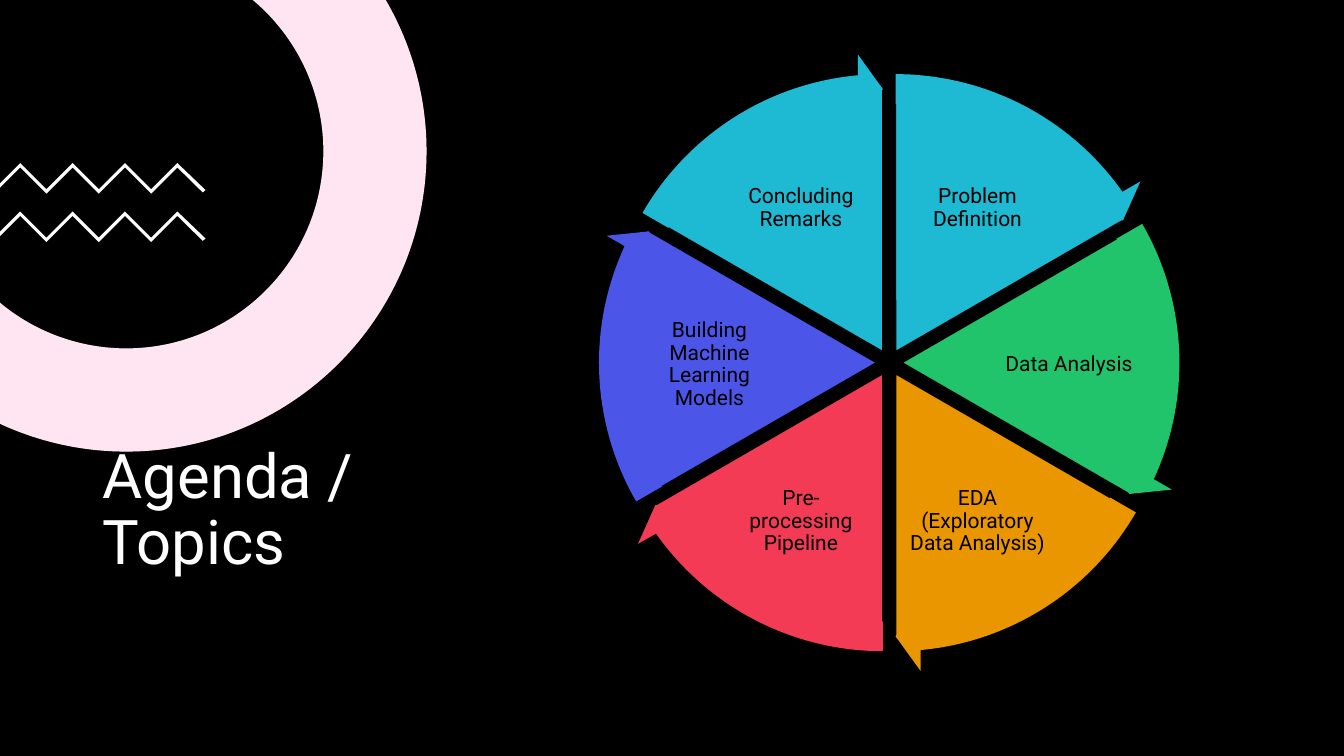
from math import acos, asin, cos, pi, radians, sin, tan

from lxml.etree import SubElement
from pptx import Presentation
from pptx.dml.color import RGBColor as RGB
from pptx.enum.shapes import MSO_SHAPE as Kind
from pptx.enum.text import MSO_ANCHOR as Anchor, PP_ALIGN as Align
from pptx.oxml.ns import qn
from pptx.util import Cm, Pt

BLACK = RGB(0x00, 0x00, 0x00)
WHITE = RGB(0xFF, 0xFF, 0xFF)
PINK = RGB(0xFF, 0x80, 0xBD)
CYAN = RGB(0x1E, 0xB9, 0xD3)
GREEN = RGB(0x21, 0xC4, 0x6B)
AMBER = RGB(0xEA, 0x96, 0x00)
RED = RGB(0xF4, 0x3B, 0x56)
BLUE = RGB(0x4B, 0x56, 0xE8)

WIDE, HIGH = 33.87, 19.05
TITLE = {"size": Pt(44), "name": "Roboto"}
LABEL = {"size": Pt(15), "name": "Roboto"}
SIDES = ("left", "top", "right", "bottom")

TOPICS = [
    ("Problem Definition", CYAN),
    ("Data Analysis", GREEN),
    ("EDA (Exploratory Data Analysis)", AMBER),
    ("Pre-processing Pipeline", RED),
    ("Building Machine Learning Models", BLUE),
    ("Concluding Remarks", CYAN),
]


def assign(item, form):
    for key, value in form.items():
        setattr(item, key, value)


def paint(shape, color, edge=None):
    shape.shadow.inherit = False
    shape.fill.solid()
    shape.fill.fore_color.rgb = color
    if edge is None:
        shape.line.fill.background()
    else:
        shape.line.color.rgb = edge
        shape.line.width = Pt(1)


def write(slide, box, text, form, color, align, inset=None):
    frame = slide.shapes.add_textbox(*map(Cm, box)).text_frame
    assign(frame, {"word_wrap": True, "vertical_anchor": Anchor.MIDDLE})
    if inset is not None:
        assign(frame, {f"margin_{side}": Cm(inset) for side in SIDES})
    para = frame.paragraphs[0]
    assign(para, {"alignment": align, "line_spacing": 0.9})
    run = para.add_run()
    run.text = text
    assign(run.font, form)
    run.font.color.rgb = color


def outline(slide, points, color):
    first, *rest = [(Cm(x), Cm(y)) for x, y in points]
    pen = slide.shapes.build_freeform(*first, scale=1.0)
    pen.add_line_segments(rest, close=True)
    shape = pen.convert_to_shape()
    paint(shape, color)
    return shape


def bend(shape, starts):
    """Turn three line steps from each start into one Bezier curve."""
    lines = list(shape._element.iter(qn("a:lnTo")))
    for start in starts:
        group = lines[start:start + 3]
        track = group[0].getparent()
        curve = SubElement(track, qn("a:cubicBezTo"))
        group[0].addprevious(curve)
        for line in group:
            curve.append(line[0])
            track.remove(line)


def ring(slide, left, top, size, band):
    """Draw the part of a ring that lies right of and below the slide corner."""
    cx, cy = left + size / 2, top + size / 2

    def arc(radius):
        def spot(turn, pull=0):
            return (cx + radius * (cos(turn) - pull * sin(turn)),
                    cy + radius * (sin(turn) + pull * cos(turn)))

        turns = [asin(-cy / radius), 0, pi / 2, acos(-cx / radius)]
        points = [spot(turns[0])]
        for a, b in zip(turns, turns[1:]):
            pull = 4 / 3 * tan((b - a) / 4)
            points += [spot(a, pull), spot(b, -pull), spot(b)]
        return points

    points = arc(size / 2) + arc(size / 2 - band)[::-1]
    plain, tint = [outline(slide, points, color) for color in (WHITE, PINK)]
    for shape in (plain, tint):
        bend(shape, (0, 3, 6, 10, 13, 16))
    color = tint.fill._xPr.find(qn("a:solidFill"))[0]
    SubElement(color, qn("a:alpha"), val="20000")


def zigzag(slide, left, top, step=0.66, thick=0.11):
    peaks = [(left + 0.51 + step * i, top + step * (i % 2)) for i in range(7)]
    upper = [(left, top + 0.51), *peaks, (left + 5.18, top + 0.68)]
    lower = [(left, top + 0.51), *peaks, (left + 5.11, top + 0.63)]
    outline(slide, upper + [(x, y + thick) for x, y in lower[::-1]], WHITE)


def wheel(slide, left, top, size):
    """Draw six pie slices with labels, then an arrow round each slice."""
    cx, cy = left + size / 2, top + size / 2
    step = 360 / len(TOPICS)
    unit = 0.6  # adjustment value of one degree

    def spot(index, across, down):
        turn = radians(step * (index - 1))
        return cx + across * cos(turn), cy + down * sin(turn)

    def sector(kind, index, side, values, color, edge=None):
        x, y = spot(index, 0.32, 0.32)
        box = (x - side / 2, y - side / 2, side, side)
        shape = slide.shapes.add_shape(kind, *map(Cm, box))
        for i, value in enumerate(values):
            shape.adjustments[i] = value
        paint(shape, color, edge)

    spans = [((270 + step * i) % 360 * unit, (270 + step * (i + 1)) % 360 * unit)
             for i in range(len(TOPICS))]
    for i, (text, color) in enumerate(TOPICS):
        sector(Kind.PIE, i, size * 0.888, spans[i], color, BLACK)
        level = i % 3 == 1
        x, y = spot(i, 4.53 if level else 4.45, 4.56)
        w, h = (3.66, 2.62) if level else (3.5, 2.72)
        write(slide, (x - w / 2, y - h / 2 + 0.05, w, h), text, LABEL, BLACK,
              Align.CENTER, 0.05)
    head = 3.28
    for i, (start, end) in enumerate(spans):
        values = (0.05, head, end - head, start, 0.06)
        sector(Kind.CIRCULAR_ARROW, i, size, values, TOPICS[i][1])


def agenda(deck):
    slide = deck.slides.add_slide(deck.slide_layouts[6])
    slide.background.fill.solid()
    slide.background.fill.fore_color.rgb = BLACK
    panel = slide.shapes.add_shape(Kind.RECTANGLE, 0, 0, Cm(WIDE), Cm(HIGH))
    paint(panel, BLACK)
    ring(slide, -4.39, -3.76, 15.14, 2.6)
    for top in (4.11, 5.33):
        zigzag(slide, 0, top)
    write(slide, (2.34, 10.27, 8.89, 5.23), "Agenda / Topics", TITLE, WHITE,
          Align.LEFT)
    wheel(slide, 14.89, 1.62, 15.04)


def main():
    deck = Presentation()
    assign(deck, {"slide_width": Cm(WIDE), "slide_height": Cm(HIGH)})
    agenda(deck)
    deck.save("out.pptx")


if __name__ == "__main__":
    main()
